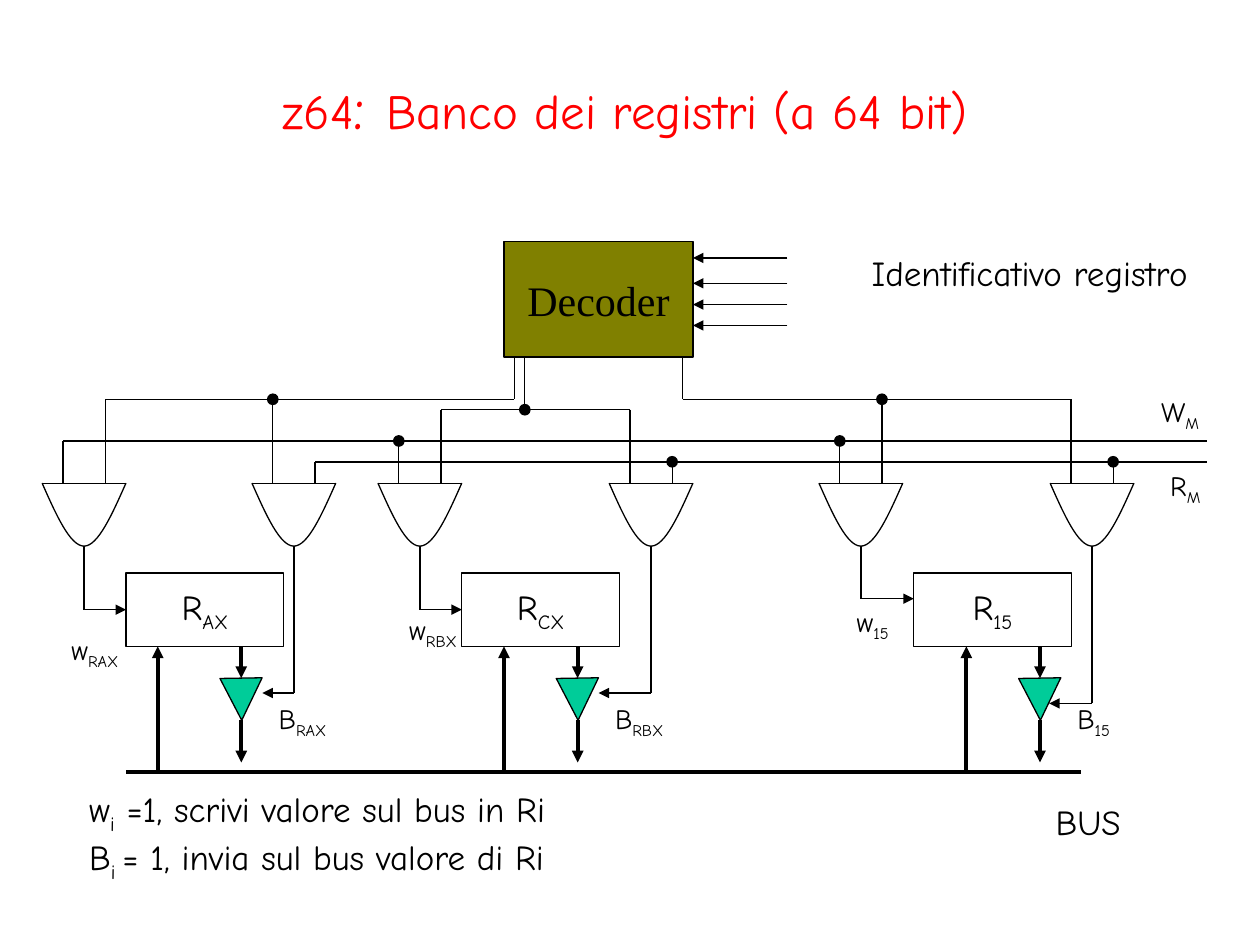
from lxml import etree
from pptx import Presentation
from pptx.dml.color import RGBColor
from pptx.enum.shapes import MSO_CONNECTOR, MSO_SHAPE
from pptx.enum.text import MSO_ANCHOR, MSO_AUTO_SIZE, PP_ALIGN
from pptx.oxml.ns import qn
from pptx.util import Cm, Pt

STRAIGHT = MSO_CONNECTOR.STRAIGHT
RECT, OVAL, TRIANGLE = MSO_SHAPE.RECTANGLE, MSO_SHAPE.OVAL, MSO_SHAPE.ISOSCELES_TRIANGLE
CENTER, MIDDLE = PP_ALIGN.CENTER, MSO_ANCHOR.MIDDLE
FIT = MSO_AUTO_SIZE.SHAPE_TO_FIT_TEXT
LEFT_SIDE = 1

COLORS = {"ink": "000000", "paper": "FFFFFF", "title": "FF0000",
          "decoder": "808000", "buffer": "00CC99"}
FONT, SERIF = "Comic Neue", "Times New Roman"

W_Y, R_Y, LINES_RIGHT = 8.89, 9.31, 24.34
GATE_Y, GATE_W, GATE_H = 9.74, 1.69, 1.27
INPUTS = (0.42, 1.27)
REG_Y, REG_W, REG_H = 11.55, 3.18, 1.48
BUFFER_Y, BUFFER = 13.67, 0.85
BUS_Y = 15.57
DECODER_BOX = (10.16, 4.87, 3.81, 2.33)
DECODER_BOTTOM = DECODER_BOX[1] + DECODER_BOX[3]

REGISTERS = [
    dict(x=0.85, reg_dx=1.69, read_dx=4.23, in_dx=0.64, buf_dx=1.9,
         control_y=12.29, enable_y=13.97, enable_dx=0.85,
         drop_x=10.37, wire_y=8.05, name="AX", suffix="RAX", label=(0.34, 12.62, 1.6)),
    dict(x=7.62, reg_dx=1.69, read_dx=4.66, in_dx=0.85, buf_dx=1.91,
         control_y=12.29, enable_y=13.97, enable_dx=0.85,
         drop_x=10.58, wire_y=8.26, name="CX", suffix="RBX", label=(0.38, 12.22, 1.6)),
    dict(x=16.51, reg_dx=1.91, read_dx=4.66, in_dx=1.06, buf_dx=2.12,
         control_y=12.07, enable_y=14.18, enable_dx=0.61,
         drop_x=13.76, wire_y=8.05, name="15", suffix="15", label=(0.51, 12.07, 1.17)),
]


def rgb(name):
    return RGBColor.from_string(COLORS[name])


def add_line(s, x1, y1, x2, y2, width=0.75, arrow=False):
    c = s.shapes.add_connector(STRAIGHT, Cm(x1), Cm(y1), Cm(x2), Cm(y2))
    c.line.color.rgb = rgb("ink")
    c.line.width = Pt(width)
    if arrow:
        etree.SubElement(c.line._get_or_add_ln(), qn("a:tailEnd"), type="triangle")
    etree.SubElement(c._element.spPr, qn("a:effectLst"))
    return c


def outline(sp, fill=None):
    sp.shadow.inherit = False
    if fill:
        sp.fill.solid()
        sp.fill.fore_color.rgb = rgb(fill)
    else:
        sp.fill.background()
    sp.line.color.rgb = rgb("ink")
    sp.line.width = Pt(0.75)


def add_shape(s, kind, x, y, w, h, fill):
    sp = s.shapes.add_shape(kind, Cm(x), Cm(y), Cm(w), Cm(h))
    outline(sp, fill)
    return sp


def write(p, parts, size, font=FONT, color="ink"):
    for i, part in enumerate(parts):
        r = p.add_run()
        r.text = part
        r.font.size = Pt(size)
        r.font.name = font
        r.font.color.rgb = rgb(color)
        if i % 2:
            r.font._rPr.set("baseline", "-25000")


def write_centred(sp, parts, size, font=FONT):
    tf = sp.text_frame
    tf.word_wrap = False
    tf.vertical_anchor = MIDDLE
    p = tf.paragraphs[0]
    p.alignment = CENTER
    write(p, parts, size, font)


def add_text(s, x, y, w, h, paragraphs, size):
    tf = s.shapes.add_textbox(Cm(x), Cm(y), Cm(w), Cm(h)).text_frame
    tf.word_wrap = False
    tf.auto_size = FIT
    for i, parts in enumerate(paragraphs):
        p = tf.add_paragraph() if i else tf.paragraphs[0]
        write(p, parts, size)
    return tf


def add_dot(s, x, y, d=0.21):
    add_shape(s, OVAL, x - d / 2, y - d / 2, d, d, "ink")


def add_gate(s, x, y, w, h):
    add_line(s, x, y, x + w, y)
    builder = s.shapes.build_freeform(Cm(x), Cm(y))
    builder.add_line_segments([(Cm(x + w / 2), Cm(y + h)), (Cm(x + w), Cm(y))], close=False)
    sp = builder.convert_to_shape()
    outline(sp)
    controls = (((1 / 6, 1 / 2), (1 / 3, 1)), ((2 / 3, 1), (5 / 6, 1 / 2)))
    for segment, pair in zip(list(sp._element.iter(qn("a:lnTo"))), controls):
        curve = etree.Element(qn("a:cubicBezTo"))
        for fx, fy in pair:
            etree.SubElement(curve, qn("a:pt"), x=str(Cm(w * fx)), y=str(Cm(h * fy)))
        curve.append(segment[0])
        segment.getparent().replace(segment, curve)


def add_title(s, x, y, w, h):
    sp = s.shapes.title
    sp.left, sp.top, sp.width, sp.height = Cm(x), Cm(y), Cm(w), Cm(h)
    sp.text_frame.vertical_anchor = MIDDLE
    p = sp.text_frame.paragraphs[0]
    p.alignment = CENTER
    for text, size in (("z64", 28), (": ", 36), ("Banco dei registri (a 64 bit)", 28)):
        write(p, [text], size, color="title")


def add_decoder(s, x, y, w, h):
    sp = add_shape(s, RECT, x, y, w, h, "decoder")
    write_centred(sp, ["Decoder"], 24, SERIF)
    for dy in (0.33, 0.84, 1.27, 1.69):
        add_line(s, x + w + 1.9, y + dy, x + w, y + dy, arrow=True)
    tf = add_text(s, x + 7.16, y - 0.01, 6.91, 1.19, [["Identificativo registro"]], 20)
    tf.paragraphs[0].line_spacing = 1.1


def add_control_lines(s, x_write, x_read, right):
    add_line(s, x_write, W_Y, right, W_Y, 1)
    add_line(s, x_read, R_Y, right, R_Y, 1)
    add_text(s, right - 1.18, 7.82, 1.27, 1.04, [["W", "M"]], 16)
    add_text(s, right - 1.0, 9.32, 1.12, 1.04, [["R", "M"]], 16)


def add_register(s, x, reg_dx, read_dx, in_dx, buf_dx, control_y, enable_y,
                 enable_dx, drop_x, wire_y, name, suffix, label):
    reg_x, read_x = x + reg_dx, x + read_dx
    reg_bottom = REG_Y + REG_H
    reg = add_shape(s, RECT, reg_x, REG_Y, REG_W, REG_H, "paper")
    write_centred(reg, ["R", name], 20)

    w_in, w_sel = (x + dx for dx in INPUTS)
    r_sel, r_in = (read_x + dx for dx in INPUTS)
    add_line(s, drop_x, DECODER_BOTTOM, drop_x, wire_y)
    add_line(s, min(w_sel, drop_x), wire_y, max(r_sel, drop_x), wire_y)
    for in_x, in_y in ((w_in, W_Y), (w_sel, wire_y), (r_sel, wire_y), (r_in, R_Y)):
        add_line(s, in_x, in_y, in_x, GATE_Y)
    for gate_x in (x, read_x):
        add_gate(s, gate_x, GATE_Y, GATE_W, GATE_H)

    w_out, r_out = x + GATE_W / 2, read_x + GATE_W / 2
    gate_bottom = GATE_Y + GATE_H
    add_line(s, w_out, gate_bottom, w_out, control_y)
    control = add_line(s, w_out, control_y, reg_x, control_y, arrow=True)
    if control_y == round(REG_Y + REG_H / 2, 2):
        control.end_connect(reg, LEFT_SIDE)
    add_line(s, r_out, gate_bottom, r_out, enable_y)

    buf_x = reg_x + buf_dx
    mid = buf_x + BUFFER / 2
    buf = add_shape(s, TRIANGLE, buf_x, BUFFER_Y, BUFFER, BUFFER, "buffer")
    buf.rotation = 179.1
    add_line(s, r_out, enable_y, buf_x + enable_dx, enable_y, arrow=True)
    add_line(s, reg_x + in_dx, BUS_Y, reg_x + in_dx, reg_bottom, 2.25, True)
    add_line(s, mid, reg_bottom, mid, BUFFER_Y, 2.25, True)
    add_line(s, mid, BUFFER_Y + BUFFER, mid, BUS_Y - 0.2, 2.25, True)
    label_dx, label_y, label_w = label
    add_text(s, x + label_dx, label_y, label_w, 1.04, [["w", suffix]], 16)
    add_text(s, buf_x + 0.93, 14.01, label_w, 1.04, [["B", suffix]], 16)


def add_bus(s, x, y, w):
    add_line(s, x, y, x + w, y, 2.25)
    add_text(s, x + 18.49, y + 0.44, 1.83, 1.12, [["BUS"]], 20)
    add_text(s, x - 0.99, y + 0.19, 9.73, 2.18,
             [["w", "i", " =1, scrivi valore sul bus in Ri"],
              ["B", "i ", "= 1, invia sul bus valore di Ri"]], 20)


def add_junctions(s):
    first, second, third = REGISTERS
    near, far = INPUTS
    add_dot(s, first["x"] + first["read_dx"] + near, first["wire_y"])
    add_dot(s, second["drop_x"], second["wire_y"])
    add_dot(s, third["x"] + far, third["wire_y"])
    for reg in (second, third):
        add_dot(s, reg["x"] + near, W_Y)
        add_dot(s, reg["x"] + reg["read_dx"] + far, R_Y)


def main():
    prs = Presentation()
    prs.slide_width, prs.slide_height = Cm(25.4), Cm(19.05)
    s = prs.slides.add_slide(prs.slide_layouts[5])
    add_title(s, 1.8, 0.52, 21.59, 3.18)
    add_decoder(s, *DECODER_BOX)
    first = REGISTERS[0]
    add_control_lines(s, first["x"] + INPUTS[0],
                      first["x"] + first["read_dx"] + INPUTS[1], LINES_RIGHT)
    for reg in REGISTERS:
        add_register(s, **reg)
    add_bus(s, 2.54, BUS_Y, 19.26)
    add_junctions(s)
    prs.save("out.pptx")


if __name__ == "__main__":
    main()
